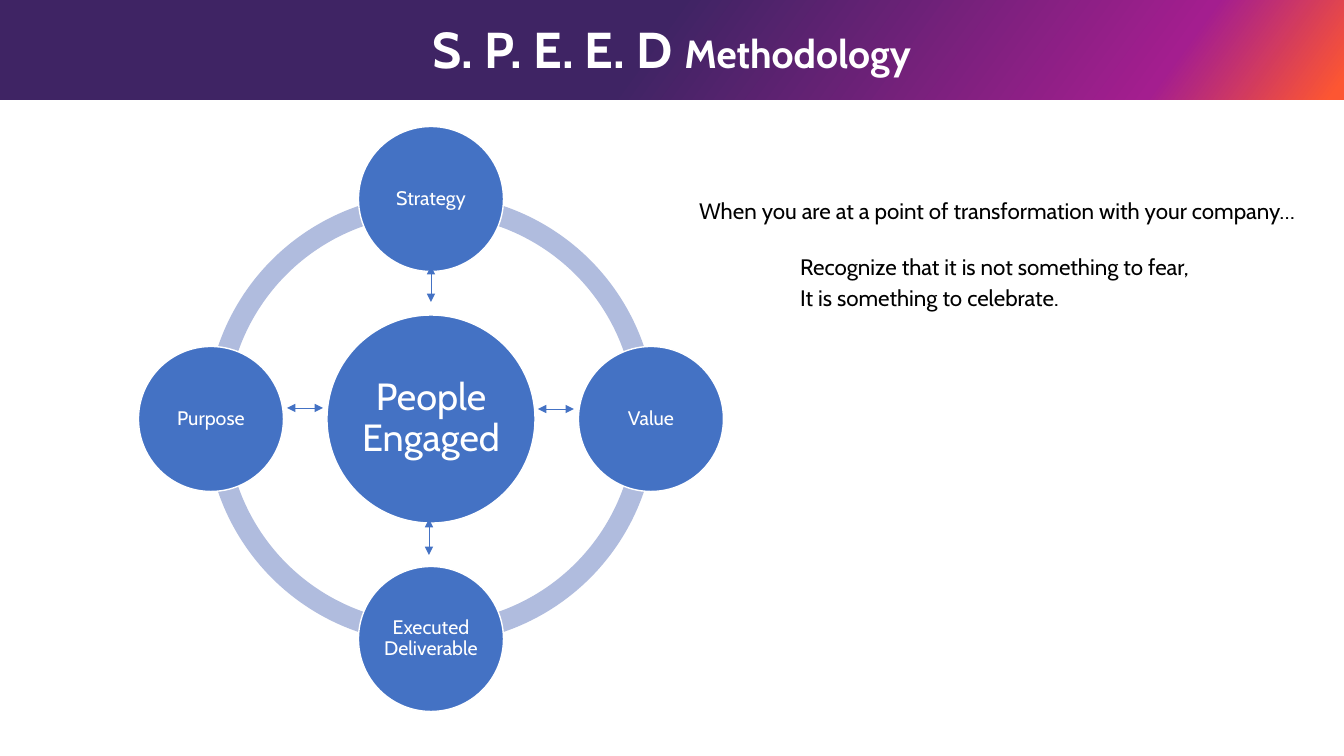
import copy
import dataclasses

import pptx
import pptx.dml.color
import pptx.enum.shapes
import pptx.enum.text
import pptx.oxml
import pptx.oxml.ns
import pptx.util

Pt = pptx.util.Pt
SHAPE = pptx.enum.shapes.MSO_SHAPE
ALIGN = pptx.enum.text.PP_ALIGN
ANCHOR = pptx.enum.text.MSO_ANCHOR
FIT = pptx.enum.text.MSO_AUTO_SIZE
qn = pptx.oxml.ns.qn
WIDE, HIGH = 1344, 756


def px(count):
    return pptx.util.Emu(round(count * 12192000 / WIDE))


def rgb(code):
    return pptx.dml.color.RGBColor.from_string(code)


@dataclasses.dataclass
class Theme:
    font: str = "Cabin"
    white: str = "FFFFFF"
    black: str = "000000"
    blue: str = "4472C4"
    pale: str = "B0BCDE"
    banner: tuple = ((48, "3F2464"), (86, "A41E8F"), (99, "FD5632"))
    title: int = 36
    subtle: int = 28
    body: int = 16
    hub: int = 27
    node: int = 14


class Deck:
    def __init__(self, theme):
        self.theme = theme
        self.show = pptx.Presentation()
        self.show.slide_width, self.show.slide_height = px(WIDE), px(HIGH)
        self.slide = self.show.slides.add_slide(self.show.slide_layouts[1])

    def place(self, item, left, top, width, height):
        item.left, item.top = px(left), px(top)
        item.width, item.height = px(width), px(height)

    def run(self, para, text, size, color, bold=False):
        run = para.add_run()
        run.text = text
        run.font.name = self.theme.font
        run.font.size = Pt(size)
        run.font.bold = bold
        run.font.color.rgb = rgb(color)

    def shape(self, kind, left, top, width, height, color=None):
        item = self.slide.shapes.add_shape(
            kind, px(left), px(top), px(width), px(height))
        item.shadow.inherit = False
        item.line.fill.background()
        if color:
            item.fill.solid()
            item.fill.fore_color.rgb = rgb(color)
        return item

    def banner(self, height):
        """Gradient band, sent behind the placeholders."""
        band = self.shape(SHAPE.RECTANGLE, 0, 0, WIDE, height)
        band.fill.gradient()
        band.fill.gradient_angle = 360 - 36
        stops = band._element.spPr.find(".//" + qn("a:gsLst"))
        stops.append(copy.deepcopy(stops[-1]))
        for stop, (spot, color) in zip(band.fill.gradient_stops, self.theme.banner):
            stop.position = spot / 100
            stop.color.rgb = rgb(color)
        self.slide.shapes._spTree.insert(2, band._element)

    def title(self, box, runs):
        item = self.slide.shapes.title
        self.place(item, *box)
        frame = item.text_frame
        frame.auto_size = FIT.NONE
        frame.vertical_anchor = ANCHOR.MIDDLE
        para = frame.paragraphs[0]
        para.alignment = ALIGN.CENTER
        para.line_spacing = 0.9
        for text, size in runs:
            self.run(para, text, size, self.theme.white, True)

    def body(self, box, lines):
        """Fill the body with (text, indent px, space before pt) lines."""
        item = self.slide.placeholders[1]
        self.place(item, *box)
        frame = item.text_frame
        frame.auto_size = FIT.NONE
        for rank, (text, indent, space) in enumerate(lines):
            para = frame.add_paragraph() if rank else frame.paragraphs[0]
            props = para._p.get_or_add_pPr()
            props.set("marL", str(px(indent)))
            props.set("indent", "0")
            props.append(pptx.oxml.parse_xml(
                f"<a:buNone {pptx.oxml.ns.nsdecls('a')}/>"))
            para.line_spacing = 0.9
            para.space_before = Pt(space)
            self.run(para, text, self.theme.body, self.theme.black)

    def arc(self, mid, size, start):
        """Quarter of a ring, from the start angle clockwise."""
        x, y = mid
        item = self.shape(SHAPE.BLOCK_ARC, x - size / 2, y - size / 2,
                          size, size, self.theme.pale)
        ends = start * 0.6, (start + 90) % 360 * 0.6
        for rank, value in enumerate((*ends, 0.046)):
            item.adjustments[rank] = value

    def disc(self, mid, size, text, points, inset):
        x, y = mid
        item = self.shape(SHAPE.OVAL, x - size / 2, y - size / 2,
                          size, size, self.theme.blue)
        item.line.color.rgb = rgb(self.theme.white)
        item.line.width = Pt(1)
        frame = item.text_frame
        frame.word_wrap = True
        frame.vertical_anchor = ANCHOR.MIDDLE
        frame.margin_left = frame.margin_right = px(inset)
        frame.margin_top = frame.margin_bottom = px(inset)
        para = frame.paragraphs[0]
        para.alignment = ALIGN.CENTER
        para.line_spacing = 0.9
        self.run(para, text, points, self.theme.white)

    def arrow(self, x1, y1, x2, y2):
        """Thin line with a head at both ends."""
        item = self.slide.shapes.add_connector(
            pptx.enum.shapes.MSO_CONNECTOR.STRAIGHT,
            px(x1), px(y1), px(x2), px(y2))
        item.line.color.rgb = rgb(self.theme.blue)
        item.line.width = Pt(0.5)
        line = item.line._get_or_add_ln()
        for end in ("headEnd", "tailEnd"):
            line.append(pptx.oxml.parse_xml(
                f"<a:{end} {pptx.oxml.ns.nsdecls('a')} type='triangle'/>"))
        item._element.spPr.append(pptx.oxml.parse_xml(
            f"<a:effectLst {pptx.oxml.ns.nsdecls('a')}/>"))


def main():
    theme = Theme()
    deck = Deck(theme)
    deck.banner(100)
    deck.body((639, 195, 669, 131), (
        ("When you are at a point of transformation with your company…", 50, 0),
        ("Recognize that it is not something to fear,", 151, 22.5),
        ("It is something to celebrate.", 151, 5),
    ))
    deck.title((410, 12, 523, 80),
               (("S. P. E. E. D ", theme.title), ("Methodology", theme.subtle)))

    x, y = hub = 431, 419
    reach = 220
    for start in (180, 90, 0, 270):
        deck.arc(hub, 450, start)
    deck.disc(hub, 208, "People Engaged", theme.hub, 4)
    nodes = (("Strategy", 0, -1), ("Value", 1, 0),
             ("Executed Deliverable", 0, 1), ("Purpose", -1, 0))
    for text, across, down in nodes:
        mid = x + across * reach, y + down * reach
        deck.disc(mid, 145, text, theme.node, 2)

    for left, top in ((287, 408), (538, 409)):
        deck.arrow(left, top, left + 36, top)
    for left, top in ((431, 266), (429, 519)):
        deck.arrow(left, top + 36, left, top)
    deck.show.save("out.pptx")


if __name__ == "__main__":
    main()
